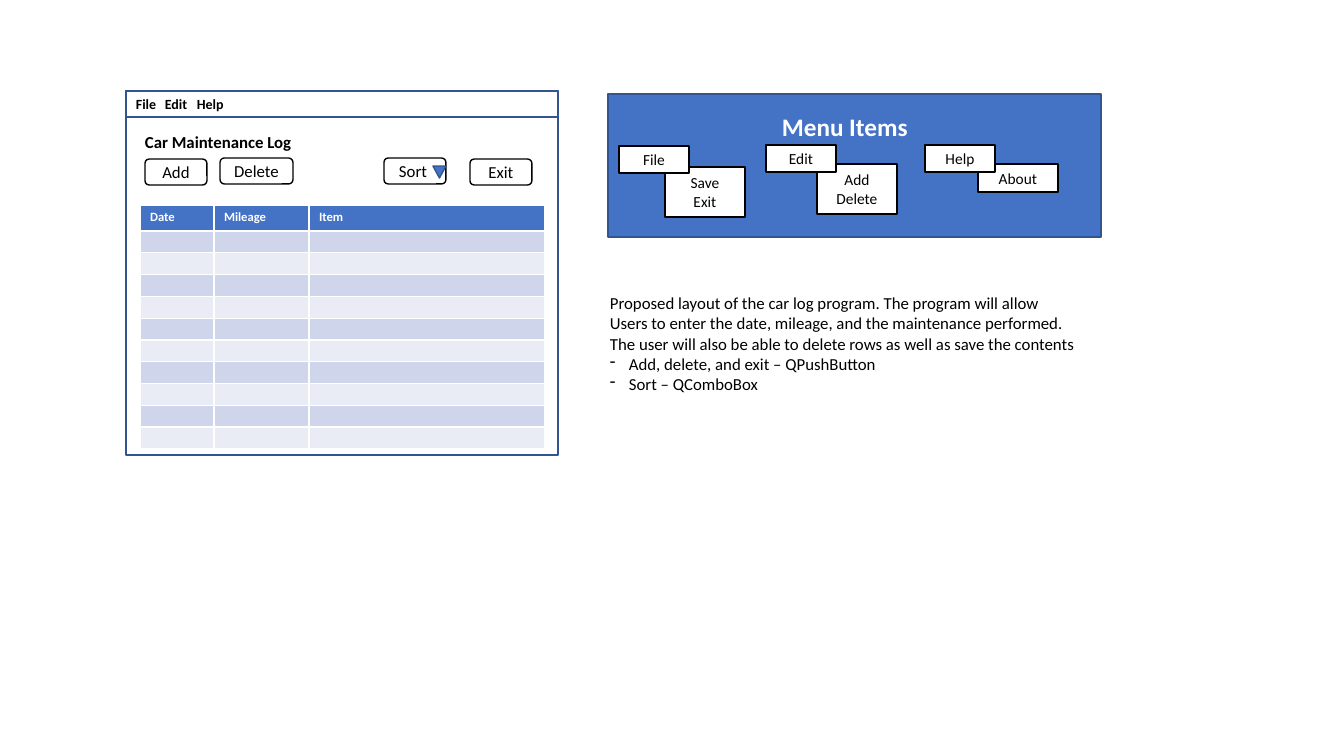
"""Build the car maintenance log mock-up slide with its menu panel and description."""
from lxml.etree import SubElement
from pptx import Presentation
from pptx.dml.color import RGBColor
from pptx.enum.shapes import MSO_SHAPE as SHAPE
from pptx.enum.text import MSO_ANCHOR as ANCHOR, PP_ALIGN as ALIGN
from pptx.oxml.ns import qn
from pptx.util import Emu, Pt

SCALE = 914400 / 100.8
BLUE, EDGE, BLACK, WHITE = "4472C4", "325491", "000000", "FFFFFF"
BANDS = ("CFD5EA", "E9EBF5")

MENU_BAR = [("File", 126, 41), ("Edit", 155, 43), ("Help", 187, 47)]
BUTTONS = [("Add", 145, 159, 62), ("Delete", 220, 158, 73),
           ("Sort ", 384, 158, 62), ("Exit", 470, 159, 62)]
MENUS = [("File", (619, 146), ["Save", "Exit"], (665, 167, 80, 50)),
         ("Edit", (766, 145), ["Add", "Delete"], (817, 164, 80, 50)),
         ("Help", (925, 145), ["About"], (978, 164, 80, 28))]
LOG_COLUMNS = [("Date", 74), ("Mileage", 95), ("Item", 236)]
LOG_ROWS = 10
DESCRIPTION = ["Proposed layout of the car log program. The program will allow",
               "Users to enter the date, mileage, and the maintenance performed.",
               "The user will also be able to delete rows as well as save the contents"]
WIDGETS = ["Add, delete, and exit – QPushButton", "Sort – QComboBox"]


def px(length):
    return Emu(round(length * SCALE))


def color(hex_value):
    return RGBColor.from_string(hex_value)


def write(frame, lines, size, ink=BLACK, bold=False, align=ALIGN.LEFT):
    for number, line in enumerate(lines):
        paragraph = frame.add_paragraph() if number else frame.paragraphs[0]
        paragraph.alignment = align
        run = paragraph.add_run()
        run.text = line
        for name, value in dict(name="Calibri", size=Pt(size), bold=bold).items():
            setattr(run.font, name, value)
        run.font.color.rgb = color(ink)


def block(kind, box, fill=WHITE, edge=BLACK, lines=(), size=11):
    shape = slide.shapes.add_shape(kind, *map(px, box))
    shape.shadow.inherit = False
    if fill:
        shape.fill.solid()
        shape.fill.fore_color.rgb = color(fill)
    else:
        shape.fill.background()
    shape.line.color.rgb = color(edge)
    shape.line.width = Pt(1)
    shape.text_frame.vertical_anchor = ANCHOR.MIDDLE
    write(shape.text_frame, lines, size, align=ALIGN.CENTER)
    return shape


def label(box, lines, size, wrap=False, **style):
    frame = slide.shapes.add_textbox(*map(px, box)).text_frame
    frame.word_wrap = wrap
    write(frame, lines, size, **style)
    return frame


deck = Presentation()
deck.slide_width, deck.slide_height = px(1344), px(756)
slide = deck.slides.add_slide(deck.slide_layouts[6])

block(SHAPE.RECTANGLE, (608, 94, 493, 143), BLUE, EDGE)
label((772, 106, 147, 40), ["Menu Items"], 18, ink=WHITE, bold=True)
for menu, corner, entries, drop_box in MENUS:
    block(SHAPE.RECTANGLE, drop_box, lines=entries)
    block(SHAPE.RECTANGLE, (*corner, 70, 27), lines=[menu])

for height in (364, 26):
    block(SHAPE.RECTANGLE, (126, 91, 432, height), None, EDGE)
for menu, left, width in MENU_BAR:
    label((left, 91, width, 27), [menu], 10, bold=True)
label((135, 127, 206, 30), ["Car Maintenance Log"], 12, wrap=True, bold=True)
for caption, left, top, width in BUTTONS:
    block(SHAPE.ROUNDED_RECTANGLE, (left, top, width, 26), lines=[caption], size=12)
block(SHAPE.ISOSCELES_TRIANGLE, (433, 166, 13, 12), BLUE, EDGE).rotation = 180

log_width = sum(width for _, width in LOG_COLUMNS)
log = slide.shapes.add_table(LOG_ROWS + 1, len(LOG_COLUMNS),
                             *map(px, (140, 205, log_width, 244))).table
for number, row in enumerate(log.rows):
    row.height = px(21.8 if number else 26)
    for cell, (heading, width) in zip(row.cells, LOG_COLUMNS):
        cell.fill.solid()
        cell.fill.fore_color.rgb = color(BANDS[(number - 1) % 2] if number else BLUE)
        if number:
            SubElement(cell.text_frame.paragraphs[0]._p, qn("a:endParaRPr"), sz="600")
        else:
            write(cell.text_frame, [heading], 9, WHITE, bold=True)
for column, (_, width) in zip(log.columns, LOG_COLUMNS):
    column.width = px(width)

notes = label((600, 288, 513, 214), DESCRIPTION + WIDGETS, 12, wrap=True)
for paragraph in notes.paragraphs[len(DESCRIPTION):]:
    properties = paragraph._p.get_or_add_pPr()
    properties.set("marL", str(px(19)))
    properties.set("indent", str(-px(19)))
    SubElement(properties, qn("a:buChar"), char="-")

deck.save("out.pptx")
